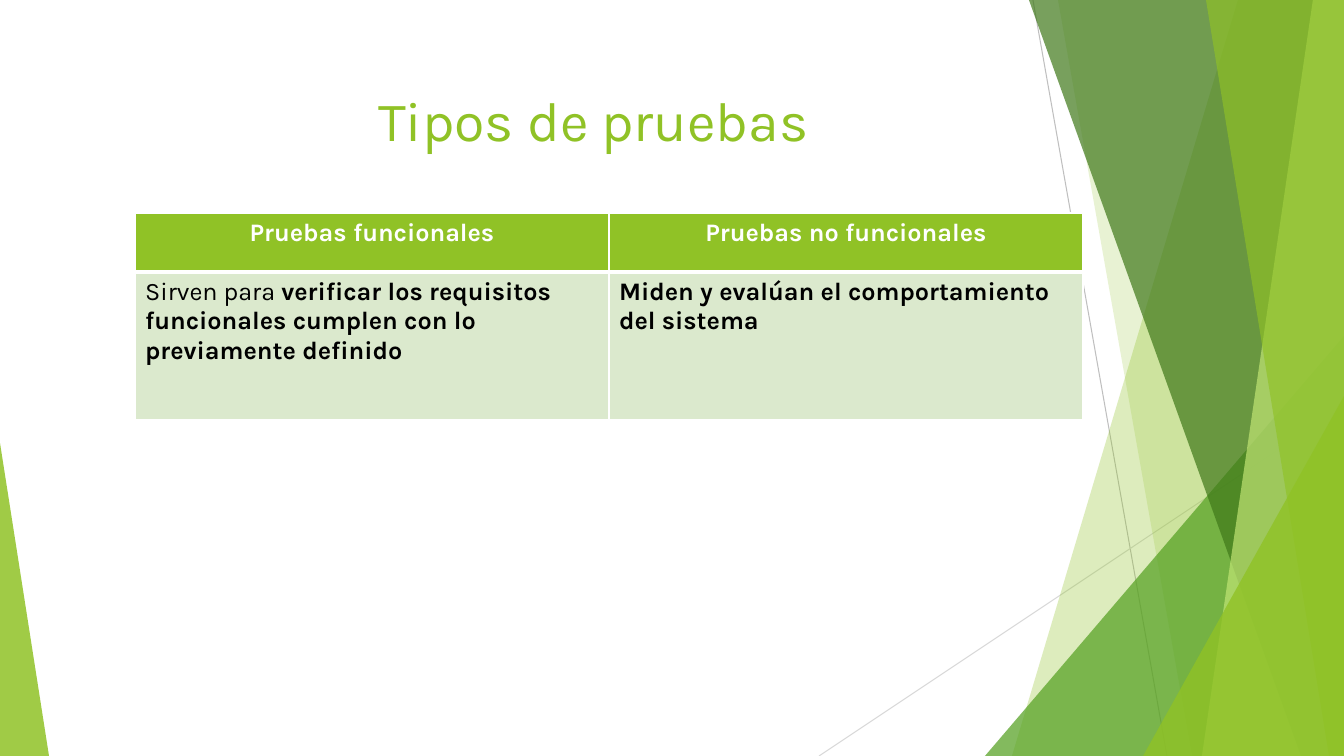
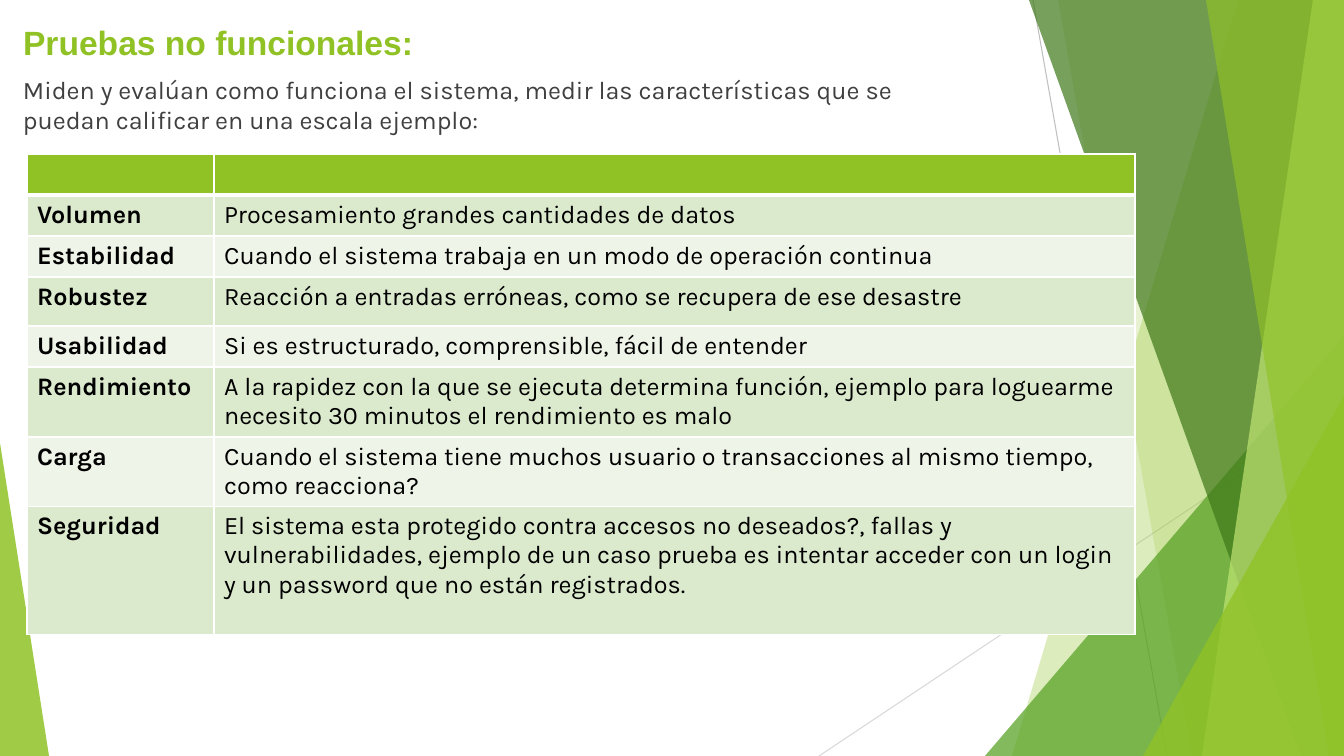
import pptx
import pptx.dml.color
import pptx.enum.shapes
import pptx.enum.text
import pptx.oxml
import pptx.oxml.ns
import pptx.util

PX = 914400 / 100.8
PAGE_WIDTH, PAGE_HEIGHT = 1344, 756
TITLE_ONLY = 5

WHITE, BLACK, GRAY = "FFFFFF", "000000", "404040"
GREEN, MINT, PALE_MINT = "90C226", "DBE9CD", "EEF4E8"

TEXT = {"name": "Karla", "size": pptx.util.Pt(18), "bold": False}
BOLD = TEXT | {"bold": True}

# Thin lines: start, end, colour
THIN_LINES = [
    ((1033, 0), (1167, 756), "BFBFBF"),
    ((1344, 406), (819, 756), "D9D9D9"),
]
# Facets from back to front. A band gives its left edge at top and bottom;
# a triangle gives left, top, width and the side of its peak (0 left, 1 right).
FACETS = [
    ("band", (1238, 1012), GREEN, 30),
    ("band", (1058, 1192), GREEN, 20),
    ("triangle", (985, 336, 359, 1), "54A021", 72),
    ("band", (1029, 1301), "3F7819", 70),
    ("band", (1313, 1202), "C0E474", 70),
    ("band", (1206, 1329), GREEN, 65),
    ("triangle", (1143, 396, 201, 1), GREEN, 80),
    ("triangle", (0, 443, 49, 0), GREEN, 85),
]

# Each table cell is a list of (text, format) runs.
SLIDES = [
    {
        "title": "Tipos de pruebas",
        "title_box": (368, 81, 482, 88),
        "title_format": TEXT | {"size": pptx.util.Pt(39.6)},
        "table": {
            "at": (135, 213),
            "columns": [474, 474],
            "heights": [59, 148],
            "rows": [
                [[("Pruebas funcionales", BOLD)],
                 [("Pruebas no funcionales", BOLD)]],
                [[("Sirven para ", TEXT),
                  ("verificar los requisitos funcionales cumplen con lo "
                   "previamente definido", BOLD)],
                 [("Miden y evalúan el comportamiento del sistema", BOLD)]],
            ],
        },
    },
    {
        "title": "Pruebas no funcionales:",
        "title_box": (13, 17, 979, 48),
        "title_format": {"name": "Arial", "size": pptx.util.Pt(24), "bold": True},
        "intro": "Miden y evalúan como funciona el sistema, medir las "
                 "características que se puedan calificar en una escala ejemplo:",
        "intro_box": (13, 69, 979, 70),
        "table": {
            "at": (27, 154),
            "columns": [187, 921],
            "heights": [41, 41, 41, 49, 41, 70, 69, 128],
            "rows": [[[], []]] + [
                [[(label, BOLD)], [(meaning, TEXT)]] for label, meaning in [
                    ("Volumen", "Procesamiento grandes cantidades de datos"),
                    ("Estabilidad", "Cuando el sistema trabaja en un modo de "
                                    "operación continua"),
                    ("Robustez", "Reacción a entradas erróneas, como se "
                                 "recupera de ese desastre"),
                    ("Usabilidad", "Si es estructurado, comprensible, fácil de "
                                   "entender"),
                    ("Rendimiento", "A la rapidez con la que se ejecuta determina "
                                    "función, ejemplo para loguearme necesito 30 "
                                    "minutos el rendimiento es malo"),
                    ("Carga", "Cuando el sistema tiene muchos usuario o "
                              "transacciones al mismo tiempo, como reacciona?"),
                    ("Seguridad", "El sistema esta protegido contra accesos no "
                                  "deseados?, fallas y vulnerabilidades, ejemplo "
                                  "de un caso prueba es intentar acceder con un "
                                  "login y un password que no están registrados."),
                ]
            ],
        },
    },
]


def emu(*lengths):
    return [round(length * PX) for length in lengths]


def rgb(value):
    return pptx.dml.color.RGBColor.from_string(value)


def set_all(target, values):
    for name, value in values.items():
        setattr(target, name, value)


def add_span(para, text, font_format, color):
    span = para.add_run()
    span.text = text
    set_all(span.font, font_format)
    span.font.color.rgb = rgb(color)


def write_box(box, place, text, font_format, color):
    """Place a title or text box and give it one left-aligned paragraph."""
    set_all(box, dict(zip(("left", "top", "width", "height"), emu(*place))))
    set_all(box.text_frame, {
        "word_wrap": True,
        "auto_size": pptx.enum.text.MSO_AUTO_SIZE.NONE,
        "vertical_anchor": pptx.enum.text.MSO_ANCHOR.TOP,
    })
    para = box.text_frame.paragraphs[0]
    para.alignment = pptx.enum.text.PP_ALIGN.LEFT
    add_span(para, text, font_format, color)


def add_band(shapes, top_left, bottom_left):
    """Add a facet that runs from a slanted left edge to the page's right edge."""
    outline = shapes.build_freeform(top_left, 0, scale=PX)
    outline.add_line_segments([
        (PAGE_WIDTH, 0), (PAGE_WIDTH, PAGE_HEIGHT), (bottom_left, PAGE_HEIGHT),
    ])
    return outline.convert_to_shape()


def add_triangle(shapes, left, top, width, peak):
    """Add a right triangle that stands on the page's bottom edge."""
    triangle = shapes.add_shape(
        pptx.enum.shapes.MSO_SHAPE.ISOSCELES_TRIANGLE,
        *emu(left, top, width, PAGE_HEIGHT - top))
    triangle.adjustments[0] = peak
    return triangle


def add_backdrop(page):
    shapes = page.shapes.add_group_shape().shapes
    for start, end, color in THIN_LINES:
        line = shapes.add_connector(
            pptx.enum.shapes.MSO_CONNECTOR.STRAIGHT, *emu(*start, *end))
        line.line.color.rgb = rgb(color)
        line.line.width = pptx.util.Pt(0.75)
        line.element.spPr.append(pptx.oxml.parse_xml(
            f"<a:effectLst {pptx.oxml.ns.nsdecls('a')}/>"))
    makers = {"band": add_band, "triangle": add_triangle}
    for kind, geometry, color, opacity in FACETS:
        facet = makers[kind](shapes, *geometry)
        facet.shadow.inherit = False
        facet.line.fill.background()
        facet.fill.solid()
        facet.fill.fore_color.rgb = rgb(color)
        paint = facet.element.spPr.find(".//" + pptx.oxml.ns.qn("a:srgbClr"))
        paint.append(pptx.oxml.parse_xml(
            f"<a:alpha {pptx.oxml.ns.nsdecls('a')} val='{opacity * 1000}'/>"))


def set_borders(cell, widths):
    """Draw white borders; widths are points for left, right, top, bottom."""
    properties = cell._tc.get_or_add_tcPr()
    for index, (side, width) in enumerate(zip("LRTB", widths)):
        properties.insert(index, pptx.oxml.parse_xml(
            f"<a:ln{side} {pptx.oxml.ns.nsdecls('a')} w='{pptx.util.Pt(width)}'>"
            f"<a:solidFill><a:srgbClr val='{WHITE}'/></a:solidFill></a:ln{side}>"))


def add_grid(page, at, columns, heights, rows):
    """Add a table with a green header and alternating body rows."""
    table = page.shapes.add_table(
        len(rows), len(columns), *emu(*at, sum(columns), sum(heights))).table
    for column, width in zip(table.columns, emu(*columns)):
        column.width = width
    for row, height in zip(table.rows, emu(*heights)):
        row.height = height
    for r, row in enumerate(rows):
        header = r == 0
        fill = GREEN if header else MINT if r % 2 else PALE_MINT
        for c, spans in enumerate(row):
            cell = table.cell(r, c)
            cell.fill.solid()
            cell.fill.fore_color.rgb = rgb(fill)
            set_borders(cell, (1, 1, 3 if r == 1 else 1, 3 if header else 1))
            para = cell.text_frame.paragraphs[0]
            if header:
                para.alignment = pptx.enum.text.PP_ALIGN.CENTER
            for text, font_format in spans:
                add_span(para, text, font_format, WHITE if header else BLACK)


def main():
    deck = pptx.Presentation()
    deck.slide_width, deck.slide_height = emu(PAGE_WIDTH, PAGE_HEIGHT)
    for content in SLIDES:
        page = deck.slides.add_slide(deck.slide_layouts[TITLE_ONLY])
        add_backdrop(page)
        write_box(page.shapes.title, content["title_box"], content["title"],
                  content["title_format"], GREEN)
        if "intro" in content:
            place = content["intro_box"]
            write_box(page.shapes.add_textbox(*emu(*place)), place,
                      content["intro"], TEXT, GRAY)
        add_grid(page, **content["table"])
    deck.save("out.pptx")


if __name__ == "__main__":
    main()
